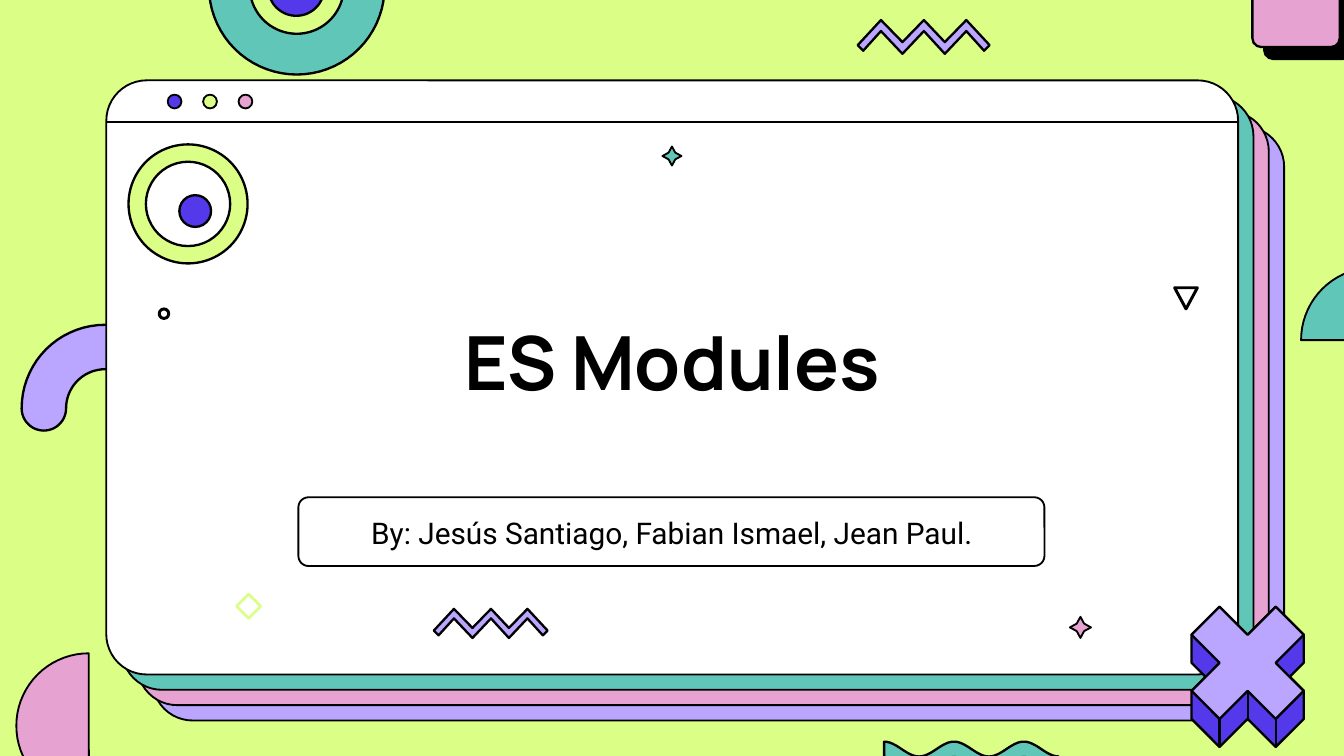
from math import cos, pi, radians, sin

from lxml import etree
from pptx import Presentation
from pptx.dml.color import RGBColor
from pptx.enum.shapes import MSO_CONNECTOR, MSO_SHAPE
from pptx.enum.text import MSO_ANCHOR, PP_ALIGN
from pptx.oxml.ns import qn
from pptx.util import Cm, Pt

OVAL = MSO_SHAPE.OVAL
ROUND = MSO_SHAPE.ROUNDED_RECTANGLE
DONUT = MSO_SHAPE.DONUT
STAR = MSO_SHAPE.STAR_4_POINT
DIAMOND = MSO_SHAPE.DIAMOND
WEDGE = MSO_SHAPE.FLOWCHART_MERGE
STRAIGHT = MSO_CONNECTOR.STRAIGHT
BOTTOM = MSO_ANCHOR.BOTTOM
CENTER = PP_ALIGN.CENTER

LIME = RGBColor(0xDB, 0xFE, 0x87)
LILAC = RGBColor(0xBA, 0xA5, 0xFF)
PINK = RGBColor(0xE6, 0xA2, 0xD0)
TEAL = RGBColor(0x60, 0xC7, 0xB8)
INDIGO = RGBColor(0x53, 0x39, 0xEA)
WHITE = RGBColor(0xFF, 0xFF, 0xFF)
BLACK = RGBColor(0, 0, 0)

prs = Presentation()
prs.slide_width, prs.slide_height = Cm(25.4), Cm(14.29)
slide = prs.slides.add_slide(prs.slide_layouts[5])
shapes = slide.shapes
slide.background.fill.solid()
slide.background.fill.fore_color.rgb = LIME


def arc(x, y, r, start, end):
    """Points on a circle; angles run clockwise from the right."""
    turns = [radians(start + (end - start) * i / 36) for i in range(37)]
    return [(x + r * cos(t), y + r * sin(t)) for t in turns]


def draw(form, fill, weight=1.25, box=None, adj=None, line=BLACK):
    """Draw a preset in a box (cm), or a closed outline of points (cm)."""
    if box:
        shape = shapes.add_shape(form, *[Cm(n) for n in box])
    else:
        spots = [(Cm(x), Cm(y)) for x, y in form]
        pen = shapes.build_freeform(*spots[0])
        pen.add_line_segments(spots[1:], close=True)
        shape = pen.convert_to_shape()
    if adj:
        shape.adjustments[0] = adj
    shape.shadow.inherit = False
    if fill is None:
        shape.fill.background()
    else:
        shape.fill.solid()
        shape.fill.fore_color.rgb = fill
    shape.line.color.rgb = line
    shape.line.width = Pt(weight)
    return shape


# Arch behind the window
x, y, big, small = 1.99, 7.72, 1.58, 0.74
mid, cap = (big + small) / 2, (big - small) / 2
draw(arc(x, y, big, 180, 360) + arc(x + mid, y, cap, 0, 180)
     + arc(x, y, small, 360, 180) + arc(x - mid, y, cap, 0, 180), LILAC)

# Stacked window panels
for i, fill in enumerate([LILAC, PINK, TEAL, WHITE]):
    gap = 0.29 * (3 - i)
    draw(ROUND, fill, 1, (2.01 + gap, 1.52 + gap, 21.39, 11.23), 0.068)

# Half rings and half discs at the slide edges
draw(arc(5.61, -0.25, 1.66, 0, 180) + arc(5.61, -0.25, 0.89, 180, 0), TEAL)
draw(arc(5.6, -0.23, 0.53, 0, 180), INDIGO)
draw(arc(1.68, 13.72, 1.37, 90, 270), PINK, 1)
draw(arc(25.96, 6.43, 1.37, 180, 360), TEAL, 1)

# Window buttons
for i, fill in enumerate([INDIGO, LIME, PINK]):
    draw(OVAL, fill, 1, (3.17 + 0.67 * i, 1.79, 0.26, 0.26))

# Eye
draw(DONUT, LIME, 1.25, (2.43, 2.73, 2.25, 2.25), 0.146)
draw(OVAL, INDIGO, 1.25, (3.39, 3.69, 0.6, 0.6))

# Small ornaments
draw(STAR, PINK, 1, (20.22, 11.66, 0.4, 0.4), 0.25)
draw(STAR, TEAL, 1, (12.52, 2.77, 0.36, 0.36), 0.25)
draw(WEDGE, None, 1.6, (22.2, 5.44, 0.43, 0.4))
draw(DIAMOND, None, 1.4, (4.47, 11.23, 0.46, 0.46), line=LIME)
draw(OVAL, None, 1.6, (3.01, 5.84, 0.18, 0.18))

# Zigzags
zig = [(0, 0.41), (0.38, 0), (0.73, 0.36), (1.08, 0), (1.42, 0.36),
       (1.77, 0), (2.15, 0.41), (2.06, 0.5), (1.77, 0.18), (1.42, 0.55),
       (1.08, 0.18), (0.73, 0.55), (0.38, 0.18), (0.09, 0.5)]
for left, top, size in [(8.2, 11.51, 1), (16.21, 0.38, 1.16)]:
    draw([(left + size * x, top + size * y) for x, y in zig], LILAC)

# Square with a hard shadow
tile = draw(ROUND, PINK, 1.25, (23.67, -0.76, 1.65, 1.65), 0.1)
effect = tile.element.spPr.find(qn("a:effectLst"))
shade = etree.SubElement(effect, qn("a:outerShdw"), blurRad="0",
                         dist=str(Pt(9)), dir="2700000", algn="bl",
                         rotWithShape="0")
etree.SubElement(shade, qn("a:srgbClr"), val=str(BLACK))

# Wave
crest = [(16.71 + 3.3 * i / 60, 14.16 - 0.14 * cos(5 * pi * i / 60))
         for i in range(61)]
draw(crest + [(x, y + 0.29) for x, y in reversed(crest)], TEAL)

# Solid cross, in units of half an arm from its centre
x, y, unit = 23.58, 12.53, 0.53
side = [(-1, -2), (0, -1), (1, -2), (2, -1), (2, 0), (1.5, 0.5), (2, 1),
        (2, 2), (1, 3), (0, 2), (-1, 3), (-2, 2), (-2, 1), (-1.5, 0.5),
        (-2, 0), (-2, -1)]
face = [(-1, -2), (0, -1), (1, -2), (2, -1), (1, 0), (2, 1), (1, 2),
        (0, 1), (-1, 2), (-2, 1), (-1, 0), (-2, -1)]
for points, fill in [(side, INDIGO), (face, LILAC)]:
    draw([(x + unit * a, y + unit * b) for a, b in points], fill)

# Title bar rule and cross seams
rules = [(2.01, 2.31, 23.4, 2.31, 1)]
for a, b in [(-1, 2), (0, 1), (1, 2)]:
    seam = x + unit * a
    rules.append((seam, y + unit * b, seam, y + unit * (b + 1), 1.25))
for *ends, weight in rules:
    rule = shapes.add_connector(STRAIGHT, *[Cm(n) for n in ends])
    rule.line.color.rgb = BLACK
    rule.line.width = Pt(weight)
    etree.SubElement(rule.element.spPr, qn("a:effectLst"))

# Title, brought in front of the window
title = shapes.title
title.element.getparent().append(title.element)
title.left, title.top = Cm(3.48), Cm(1.78)
title.width, title.height = Cm(18.44), Cm(5.89)
title.text_frame.text = "ES Modules"
title.text_frame.vertical_anchor = BOTTOM
title.text_frame.margin_bottom = 0

# Authors in a frame
draw(ROUND, None, 1, (5.64, 9.4, 14.1, 1.3), 0.147)
names = shapes.add_textbox(Cm(3.99), Cm(9.65), Cm(17.42), Cm(0.99))
names.text_frame.word_wrap = True
names.text_frame.margin_top = Cm(0.15)
names.text_frame.text = "By: Jesús Santiago, Fabian Ismael, Jean Paul."
names.text_frame.paragraphs[0].line_spacing = 0.9

for shape, face, size, bold in [(title, "Manrope", 40, True),
                                (names, "Roboto", 16, False)]:
    para = shape.text_frame.paragraphs[0]
    para.alignment = CENTER
    para.font.name = face
    para.font.size = Pt(size)
    para.font.bold = bold
    para.font.color.rgb = BLACK

prs.save("out.pptx")
